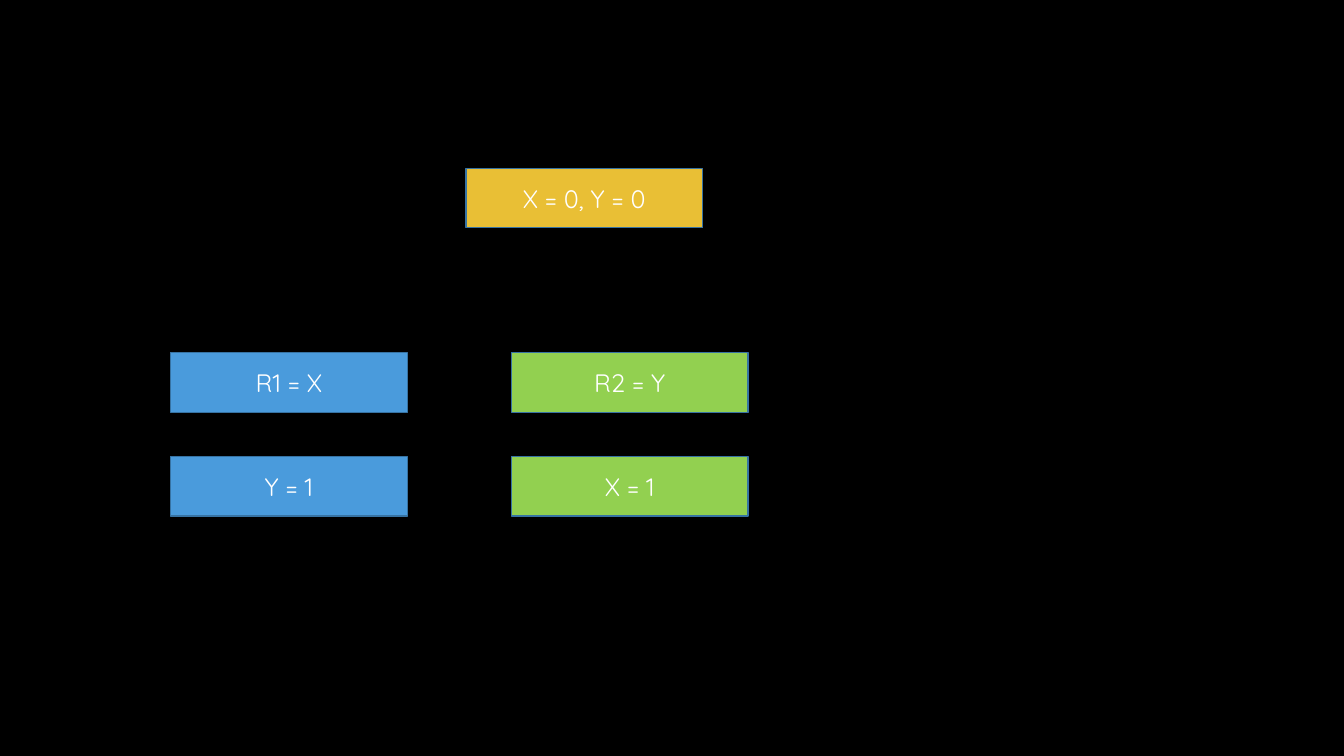
from dataclasses import dataclass

from pptx import Presentation
from pptx import util as u
from pptx.dml import color
from pptx.enum import shapes, text


@dataclass(frozen=True)
class Theme:
    back: str = "000000"
    edge: str = "3773A3"
    ink: str = "FFFFFF"
    start: str = "E9BF35"
    left: str = "4A9BDC"
    right: str = "92D050"
    font: str = "Quicksand"
    size: int = 18


THEME = Theme()
WIDTH, HEIGHT = 2.35, 0.59
TOP, STEP = 3.5, 1.03
THREADS = [
    (1.69, THEME.left, ["R1 = X", "Y = 1"]),
    (5.07, THEME.right, ["R2 = Y", "X = 1"]),
]


def paint(fill, tone):
    fill.solid()
    fill.fore_color.rgb = color.RGBColor.from_string(tone)


def add_box(slide, label, left, top, tone):
    box = slide.shapes.add_shape(
        shapes.MSO_SHAPE.RECTANGLE,
        *map(u.Inches, (left, top, WIDTH, HEIGHT)))
    box.shadow.inherit = False
    paint(box.fill, tone)
    paint(box.line.fill, THEME.edge)
    box.line.width = u.Pt(1)
    frame = box.text_frame
    frame.vertical_anchor = text.MSO_ANCHOR.MIDDLE
    para = frame.paragraphs[0]
    para.alignment = text.PP_ALIGN.CENTER
    run = para.add_run()
    run.text = label
    style = {"name": THEME.font, "size": u.Pt(THEME.size)}
    for key, value in style.items():
        setattr(run.font, key, value)
    paint(run.font.fill, THEME.ink)


def add_thread(slide, left, tone, steps):
    """Stack one thread's statements in the order they run."""
    for row, label in enumerate(steps):
        add_box(slide, label, left, TOP + row * STEP, tone)


def main():
    deck = Presentation()
    deck.slide_width, deck.slide_height = u.Inches(13.33), u.Inches(7.5)
    slide = deck.slides.add_slide(deck.slide_layouts[6])
    paint(slide.background.fill, THEME.back)
    add_box(slide, "X = 0, Y = 0", 4.62, 1.67, THEME.start)
    for thread in THREADS:
        add_thread(slide, *thread)
    deck.save("out.pptx")


if __name__ == "__main__":
    main()
